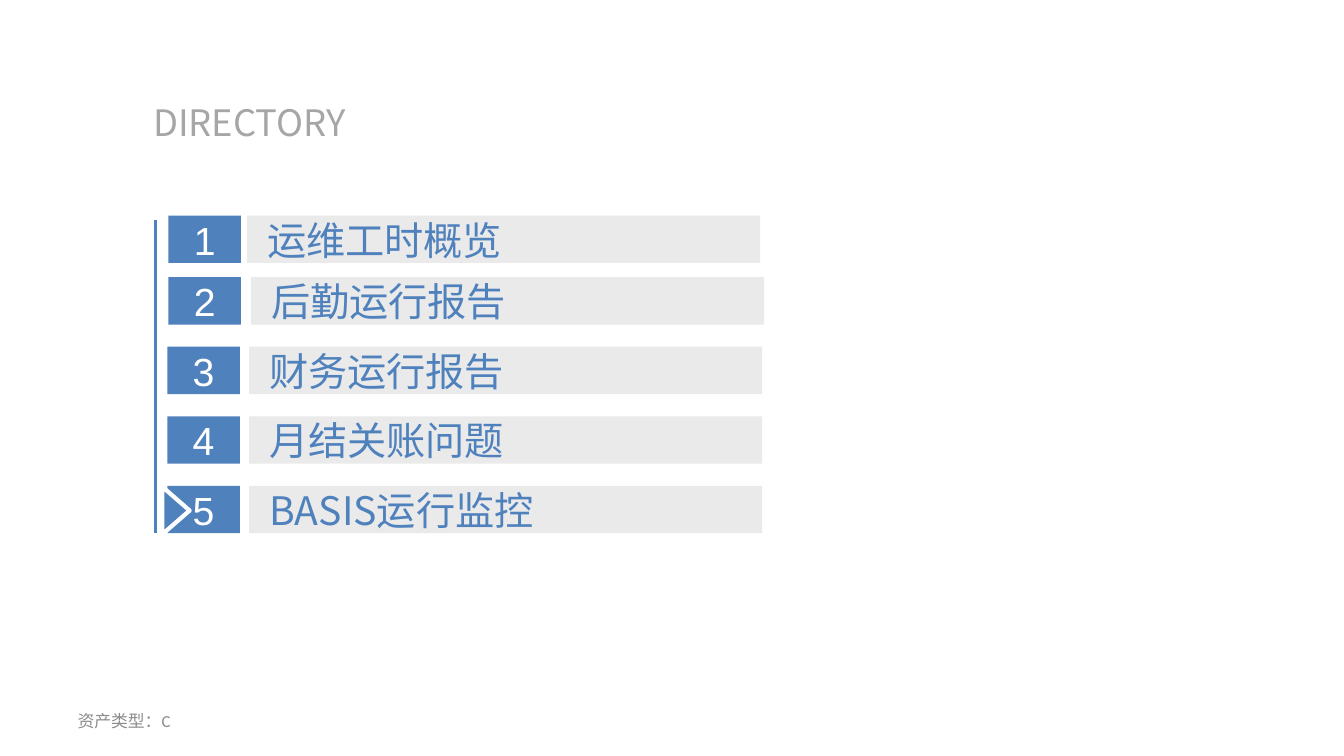
from dataclasses import dataclass

from lxml import etree
from pptx import Presentation
from pptx import util as u
from pptx.dml.color import RGBColor
from pptx.enum import shapes, text
from pptx.oxml import ns

SLIDE_WIDTH, SLIDE_HEIGHT = u.Inches(13.33), u.Inches(7.5)
BLUE, PALE, WHITE = "4F81BD", "EAEAEA", "FFFFFF"
CHINESE_FONT = "Noto Sans CJK SC"
NUMBER_WIDTH, LABEL_WIDTH, ENTRY_HEIGHT = 5.4, 38.18, 6.27
FIRST_TOP, SECOND_TOP, ENTRY_STEP = 28.53, 36.67, 9.2


@dataclass(frozen=True)
class Box:
    """Position and size in percent of the slide's width and height."""
    left: float
    top: float
    width: float
    height: float

    def lengths(self) -> tuple:
        return (across(self.left), down(self.top),
                across(self.width), down(self.height))


@dataclass(frozen=True)
class Entry:
    number: int
    title: str
    number_left: float
    label_left: float

    def top(self) -> float:
        if self.number == 1:
            return FIRST_TOP
        return SECOND_TOP + (self.number - 2) * ENTRY_STEP


ENTRIES = [
    Entry(1, "运维工时概览", 12.53, 18.38),
    Entry(2, "后勤运行报告", 12.53, 18.68),
    Entry(3, "财务运行报告", 12.45, 18.53),
    Entry(4, "月结关账问题", 12.45, 18.53),
    Entry(5, "BASIS运行监控", 12.45, 18.53),
]


def across(percent: float) -> int:
    return round(SLIDE_WIDTH * percent / 100)


def down(percent: float) -> int:
    return round(SLIDE_HEIGHT * percent / 100)


def color(value: str) -> RGBColor:
    return RGBColor.from_string(value)


def write(shape, words: str, *, size: float, fill: str, font: str = CHINESE_FONT,
          align=text.PP_ALIGN.LEFT, anchor=text.MSO_ANCHOR.MIDDLE,
          wrap: bool = True, insets: tuple = (0.1, 0.05, 0.1, 0.05)) -> None:
    frame = shape.text_frame
    frame.word_wrap = wrap
    frame.vertical_anchor = anchor
    (frame.margin_left, frame.margin_top,
     frame.margin_right, frame.margin_bottom) = map(u.Inches, insets)
    paragraph = frame.paragraphs[0]
    paragraph.alignment = align
    run = paragraph.add_run()
    run.text = words
    run.font.size = u.Pt(size)
    run.font.name = font
    run.font.color.rgb = color(fill)
    east_asian = etree.SubElement(run.font._element, ns.qn("a:ea"))
    east_asian.set("typeface", CHINESE_FONT)


def add_filled(slide, kind, box: Box, fill: str):
    shape = slide.shapes.add_shape(kind, *box.lengths())
    shape.shadow.inherit = False
    shape.fill.solid()
    shape.fill.fore_color.rgb = color(fill)
    shape.line.fill.background()
    return shape


def add_entry(slide, entry: Entry) -> None:
    rectangle = shapes.MSO_SHAPE.RECTANGLE
    label_box = Box(entry.label_left, entry.top(), LABEL_WIDTH, ENTRY_HEIGHT)
    label = add_filled(slide, rectangle, label_box, PALE)
    write(label, entry.title, size=28, fill=BLUE, insets=(0.2, 0.05, 0.08, 0.05))
    number_box = Box(entry.number_left, entry.top(), NUMBER_WIDTH, ENTRY_HEIGHT)
    number = add_filled(slide, rectangle, number_box, BLUE)
    write(number, str(entry.number), size=28, fill=WHITE, font="Arial",
          align=text.PP_ALIGN.CENTER, wrap=False, insets=(0, 0, 0, 0))


def add_rule(slide, left: float, top: float, bottom: float) -> None:
    rule = slide.shapes.add_connector(
        shapes.MSO_CONNECTOR.STRAIGHT,
        across(left), down(top), across(left), down(bottom))
    rule.line.color.rgb = color(BLUE)
    rule.line.width = u.Pt(2.25)
    etree.SubElement(rule._element.spPr, ns.qn("a:effectLst"))


def add_marker(slide, box: Box) -> None:
    marker = add_filled(slide, shapes.MSO_SHAPE.ISOSCELES_TRIANGLE, box, BLUE)
    marker.rotation = 90
    marker.line.color.rgb = color(WHITE)
    marker.line.width = u.Pt(3)


def main() -> None:
    presentation = Presentation()
    presentation.slide_width = SLIDE_WIDTH
    presentation.slide_height = SLIDE_HEIGHT
    slide = presentation.slides.add_slide(presentation.slide_layouts[6])

    heading = slide.shapes.add_textbox(*Box(10.65, 12.53, 19.13, 7.2).lengths())
    write(heading, "DIRECTORY", size=26, fill="A6A6A6",
          anchor=text.MSO_ANCHOR.TOP, wrap=False)
    heading.text_frame.auto_size = text.MSO_AUTO_SIZE.SHAPE_TO_FIT_TEXT

    footer = slide.shapes.add_textbox(*Box(5.03, 92.67, 23.33, 5.33).lengths())
    write(footer, "资产类型：C", size=12, fill="8C8C8C", font="Calibri")

    add_rule(slide, 11.55, 29.07, 70.53)
    for entry in ENTRIES:
        add_entry(slide, entry)
    add_marker(slide, Box(11.33, 65.73, 3.53, 3.6))

    presentation.save("out.pptx")


if __name__ == "__main__":
    main()
